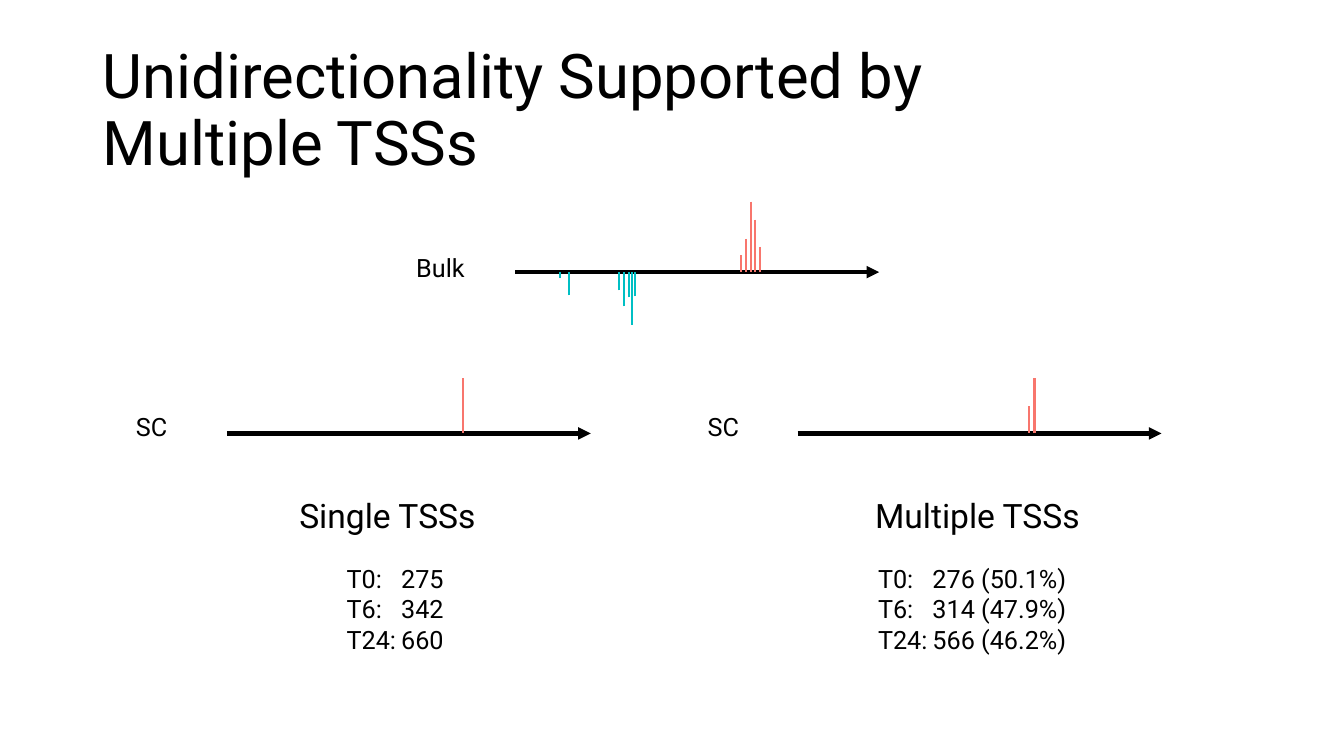
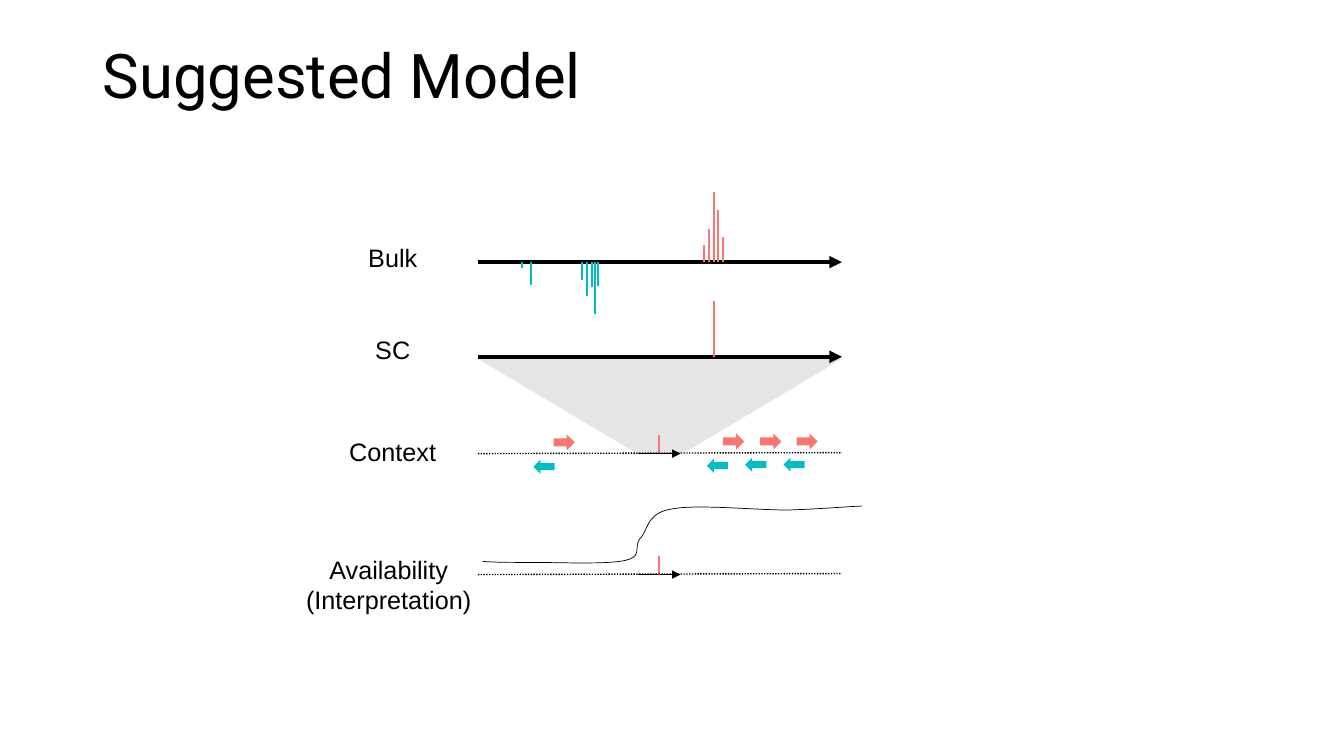
import pptx
import pptx.util
import pptx.dml.color
import pptx.enum.dml
import pptx.enum.shapes
import pptx.enum.text
import pptx.oxml.ns
import lxml.etree

Inches, Pt = pptx.util.Inches, pptx.util.Pt
SHAPE = pptx.enum.shapes.MSO_SHAPE
ALIGN = pptx.enum.text.PP_ALIGN
qn = pptx.oxml.ns.qn
rgb = pptx.dml.color.RGBColor.from_string

BLACK, FORWARD, REVERSE, ZOOM = "000000", "F8766D", "00BFC4", "808080"
AXIS = 3.61
MINI_AXIS = 0.42

# Each spike is (offset along the axis, height); negative heights point down.
BULK = [(2.43, 0.25), (2.38, 0.52), (2.29, 0.33), (2.34, 0.7), (2.24, 0.17),
        (1.19, -0.24), (1.16, -0.52), (1.08, -0.34), (1.13, -0.25),
        (1.03, -0.18), (0.44, -0.06), (0.53, -0.23)]
SINGLE = [(2.34, 0.55)]
MULTIPLE = [(2.35, 0.55), (2.3, 0.27)]
MINI = [(0.21, 0.18)]


def add_text(slide, text, x, y, w, h, size=18, font="Roboto", align=ALIGN.LEFT, tab=None):
    """Add a text box; tab is the position in inches of a left tab stop."""
    tf = slide.shapes.add_textbox(Inches(x), Inches(y), Inches(w), Inches(h)).text_frame
    tf.word_wrap = tab is not None
    tf.text = text
    for p in tf.paragraphs:
        p.alignment = align
        p.font.size = Pt(size)
        p.font.name = font
        p.font.color.rgb = rgb(BLACK)
        if tab:
            stops = lxml.etree.Element(qn("a:tabLst"))
            lxml.etree.SubElement(stops, qn("a:tab"), pos=str(Inches(tab)), algn="l")
            p._p.get_or_add_pPr().insert(0, stops)


def add_line(shapes, x1, y1, x2, y2, color=BLACK, width=1.5, arrow=False, dash=None):
    line = shapes.add_connector(pptx.enum.shapes.MSO_CONNECTOR.STRAIGHT,
                                Inches(x1), Inches(y1), Inches(x2), Inches(y2))
    line.line.color.rgb = rgb(color)
    line.line.width = Pt(width)
    if dash:
        line.line.dash_style = dash
    if arrow:
        lxml.etree.SubElement(line.line._ln, qn("a:tailEnd"), type="triangle")
    lxml.etree.SubElement(line._element.spPr, qn("a:effectLst"))


prs = pptx.Presentation()
prs.slide_width, prs.slide_height = Inches(13.33), Inches(7.5)

# Shared title style on the master
master = prs.slide_master
layout = prs.slide_layouts.get_by_name("Title Only")
for title in (master.placeholders[0], layout.placeholders[0]):
    title.left, title.top = Inches(0.92), Inches(0.4)
    title.width, title.height = Inches(11.5), Inches(1.45)
    title.text_frame.vertical_anchor = pptx.enum.text.MSO_ANCHOR.TOP
style = master.element.xpath("p:txStyles/p:titleStyle/a:lvl1pPr")[0]
style.set("algn", "l")
spacing = lxml.etree.Element(qn("a:lnSpc"))
lxml.etree.SubElement(spacing, qn("a:spcPct"), val="90000")
style.insert(0, spacing)
style.find(qn("a:defRPr")).set("sz", "4400")
style.find(qn("a:defRPr")).find(qn("a:latin")).set("typeface", "Roboto")

slides = []
for text in ("Unidirectionality Supported by\nMultiple TSSs", "Suggested Model"):
    slide = prs.slides.add_slide(layout)
    slide.shapes.title.text_frame.text = text
    slides.append(slide)
tss, model = slides

# Zoom from the single-cell track down to its genomic context
sp = model.shapes.add_shape(SHAPE.TRAPEZOID, Inches(4.74), Inches(3.56),
                            Inches(AXIS), Inches(0.93))
sp.rotation = 180
sp.adjustments[0] = 1.68
sp.shadow.inherit = False
sp.line.fill.background()
sp.fill.solid()
sp.fill.fore_color.rgb = rgb(ZOOM)
shade = sp._element.spPr.find(qn("a:solidFill"))[0]
lxml.etree.SubElement(shade, qn("a:alpha"), val="20000")

# Tracks: an arrow axis with its spikes
for slide, x, y, length, width, spikes in (
        (tss, 5.11, 2.7, AXIS, 3, BULK),
        (tss, 2.25, 4.3, AXIS, 3, SINGLE),
        (tss, 7.91, 4.3, AXIS, 3, MULTIPLE),
        (model, 4.74, 2.6, AXIS, 3, BULK),
        (model, 4.74, 3.54, AXIS, 3, SINGLE),
        (model, 6.33, 4.5, MINI_AXIS, 1, MINI),
        (model, 6.33, 5.7, MINI_AXIS, 1, MINI)):
    track = slide.shapes.add_group_shape().shapes
    add_line(track, x, y, x + length, y, width=width, arrow=True)
    for offset, height in spikes:
        add_line(track, x + offset, y - height, x + offset, y,
                 color=FORWARD if height > 0 else REVERSE)

# Slide 1: labels and counts
add_text(tss, "Bulk", 4.03, 2.45, 0.69, 0.4)
for x in (1.25, 6.92):
    add_text(tss, "SC", x, 4.03, 0.55, 0.4)
add_text(tss, "Single TSSs", 2.87, 4.86, 2.05, 0.5, size=24)
add_text(tss, "Multiple TSSs", 8.58, 4.86, 2.28, 0.5, size=24)
add_text(tss, "T0:\t275\nT6:\t342\nT24:\t660", 3.34, 5.54, 1.2, 1.01, tab=0.54)
add_text(tss, "T0:\t276 (50.1%)\nT6:\t314 (47.9%)\nT24:\t566 (46.2%)",
         8.61, 5.54, 2.29, 1.01, tab=0.54)

# Slide 2: row labels
for text, x, y, w, h in (("Bulk", 3.55, 2.35, 0.69, 0.4),
                         ("SC", 3.62, 3.27, 0.55, 0.4),
                         ("Context", 3.36, 4.28, 1.07, 0.4),
                         ("Availability\n(Interpretation)", 2.89, 5.45, 1.93, 0.71)):
    add_text(model, text, x, y, w, h, font="Arial", align=ALIGN.CENTER)

# Dotted genome lines
for y in (4.5, 5.7):
    add_line(model.shapes, 4.74, y, 4.74 + AXIS, y - 0.01, width=1,
             dash=pptx.enum.dml.MSO_LINE.ROUND_DOT)

# Neighbouring genes on both strands
for color, rotation, height, genes in (
        (FORWARD, 0, 0.16, [(5.49, 4.31), (7.17, 4.3), (7.54, 4.3), (7.9, 4.3)]),
        (REVERSE, 180, 0.14, [(5.29, 4.56), (7.01, 4.55), (7.39, 4.54), (7.77, 4.54)])):
    for x, y in genes:
        sp = model.shapes.add_shape(SHAPE.RIGHT_ARROW, Inches(x), Inches(y),
                                    Inches(0.21), Inches(height))
        sp.rotation = rotation
        sp.shadow.inherit = False
        sp.fill.solid()
        sp.fill.fore_color.rgb = rgb(color)
        sp.line.fill.background()

# Availability curve, sampled from cubic segments (control, control, end)
STEPS = 16
start = (4.79, 5.57)
points = []
for c1, c2, end in (((4.94, 5.58), (5.09, 5.58), (5.32, 5.58)),
                    ((5.56, 5.58), (6.03, 5.6), (6.2, 5.56)),
                    ((6.38, 5.52), (6.28, 5.43), (6.35, 5.34)),
                    ((6.43, 5.26), (6.41, 5.09), (6.66, 5.05)),
                    ((6.9, 5), (7.5, 5.06), (7.81, 5.06)),
                    ((8.13, 5.05), (8.34, 5.03), (8.55, 5.02))):
    for step in range(1, STEPS + 1):
        t = step / STEPS
        points.append([Inches((1 - t) ** 3 * a + 3 * (1 - t) ** 2 * t * b
                              + 3 * (1 - t) * t ** 2 * c + t ** 3 * d)
                       for a, b, c, d in zip(start, c1, c2, end)])
    start = end
curve = model.shapes.build_freeform(Inches(4.79), Inches(5.57))
curve.add_line_segments(points, close=False)
sp = curve.convert_to_shape()
sp.shadow.inherit = False
sp.fill.background()
sp.line.color.rgb = rgb(BLACK)
sp.line.width = Pt(0.5)

prs.save("out.pptx")
